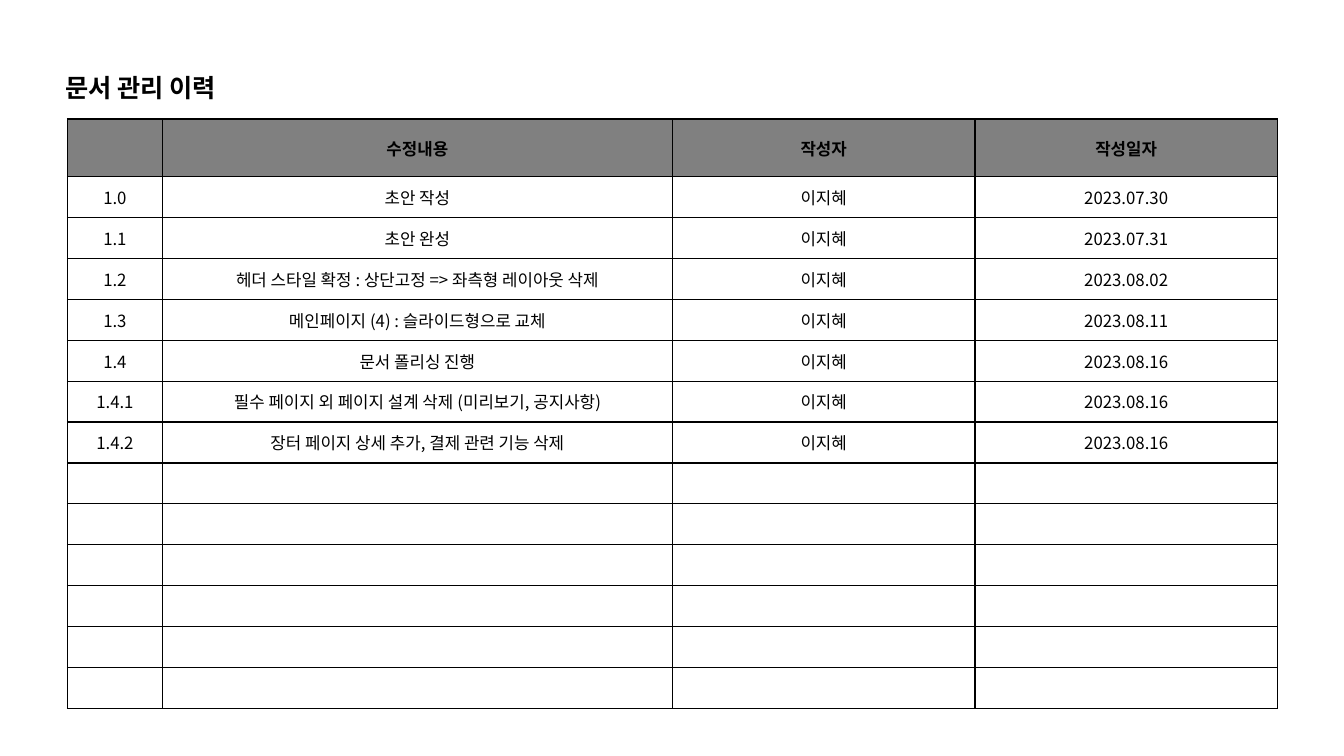
from dataclasses import dataclass

from lxml import etree
from pptx import Presentation
from pptx import util as u
from pptx.dml.color import RGBColor
from pptx.enum import text
from pptx.oxml.ns import qn


@dataclass(frozen=True)
class Theme:
    font: str = "Noto Sans CJK KR"
    ink: str = "000000"
    header_fill: str = "808080"
    body_fill: str = "FFFFFF"
    title_size: int = 18
    cell_size: int = 12
    border_width: int = 1


THEME = Theme()

COLUMN_WIDTHS = (0.94, 5.06, 3, 3)
HEADER_HEIGHT = 0.58
ENTRY_HEIGHT = 0.41
ENTRY_ROWS = 13
HEADINGS = ("", "수정내용", "작성자", "작성일자")
AUTHOR = "이지혜"
REVISIONS = [
    ("1.0", "초안 작성", "2023.07.30"),
    ("1.1", "초안 완성", "2023.07.31"),
    ("1.2", "헤더 스타일 확정 : 상단고정 => 좌측형 레이아웃 삭제", "2023.08.02"),
    ("1.3", "메인페이지 (4) : 슬라이드형으로 교체", "2023.08.11"),
    ("1.4", "문서 폴리싱 진행", "2023.08.16"),
    ("1.4.1", "필수 페이지 외 페이지 설계 삭제 (미리보기, 공지사항)", "2023.08.16"),
    ("1.4.2", "장터 페이지 상세 추가, 결제 관련 기능 삭제", "2023.08.16"),
]


def write(paragraph, wording, size, bold):
    """Fill one paragraph; an empty one still keeps its type size."""
    if not wording:
        etree.SubElement(paragraph._p, qn("a:endParaRPr"), sz=str(size * 100))
        return
    run = paragraph.add_run()
    run.text = wording
    font_format = {"name": THEME.font, "size": u.Pt(size), "bold": bold}
    for attribute, value in font_format.items():
        setattr(run.font, attribute, value)
    run.font.color.rgb = RGBColor.from_string(THEME.ink)
    # Hangul takes the East Asian typeface
    etree.SubElement(run._r.get_or_add_rPr(), qn("a:ea"), typeface=THEME.font)


def draw_borders(cell):
    properties = cell._tc.get_or_add_tcPr()
    for side in ("lnL", "lnR", "lnT", "lnB"):
        line = etree.SubElement(properties, qn(f"a:{side}"),
                                w=str(u.Pt(THEME.border_width)))
        fill = etree.SubElement(line, qn("a:solidFill"))
        etree.SubElement(fill, qn("a:srgbClr"), val=THEME.ink)


def add_title(slide, left, top, width, height):
    title = slide.shapes.add_textbox(*map(u.Inches, (left, top, width, height)))
    frame = title.text_frame
    frame_format = {"word_wrap": False,
                    "auto_size": text.MSO_AUTO_SIZE.SHAPE_TO_FIT_TEXT}
    for attribute, value in frame_format.items():
        setattr(frame, attribute, value)
    write(frame.paragraphs[0], "문서 관리 이력", THEME.title_size, True)


def add_history(slide, left, top, width, height):
    entries = [(version, change, AUTHOR, date) for version, change, date in REVISIONS]
    blanks = [("",) * len(HEADINGS)] * (ENTRY_ROWS - len(entries))
    rows = [HEADINGS, *entries, *blanks]
    history = slide.shapes.add_table(
        len(rows), len(HEADINGS), *map(u.Inches, (left, top, width, height))).table
    history.horz_banding = False

    # Column and row sizes, shared out over the given box
    for column, share in zip(history.columns, COLUMN_WIDTHS):
        column.width = u.Inches(width * share / sum(COLUMN_WIDTHS))
    heights = [HEADER_HEIGHT] + [ENTRY_HEIGHT] * ENTRY_ROWS
    for row, share in zip(history.rows, heights):
        row.height = u.Inches(height * share / sum(heights))

    # Cells
    for row_index, wordings in enumerate(rows):
        is_header = row_index == 0
        fill = THEME.header_fill if is_header else THEME.body_fill
        for column_index, wording in enumerate(wordings):
            cell = history.cell(row_index, column_index)
            cell.vertical_anchor = text.MSO_ANCHOR.MIDDLE
            draw_borders(cell)
            cell.fill.solid()
            cell.fill.fore_color.rgb = RGBColor.from_string(fill)
            paragraph = cell.text_frame.paragraphs[0]
            paragraph.alignment = text.PP_ALIGN.CENTER
            write(paragraph, wording, THEME.cell_size, is_header)


def main():
    deck = Presentation()
    deck.slide_width = u.Inches(13.33)
    deck.slide_height = u.Inches(7.5)
    slide = deck.slides.add_slide(deck.slide_layouts[6])
    add_history(slide, 0.67, 1.18, 12, 5.85)
    add_title(slide, 0.55, 0.67, 1.9, 0.4)
    deck.save("out.pptx")


if __name__ == "__main__":
    main()
